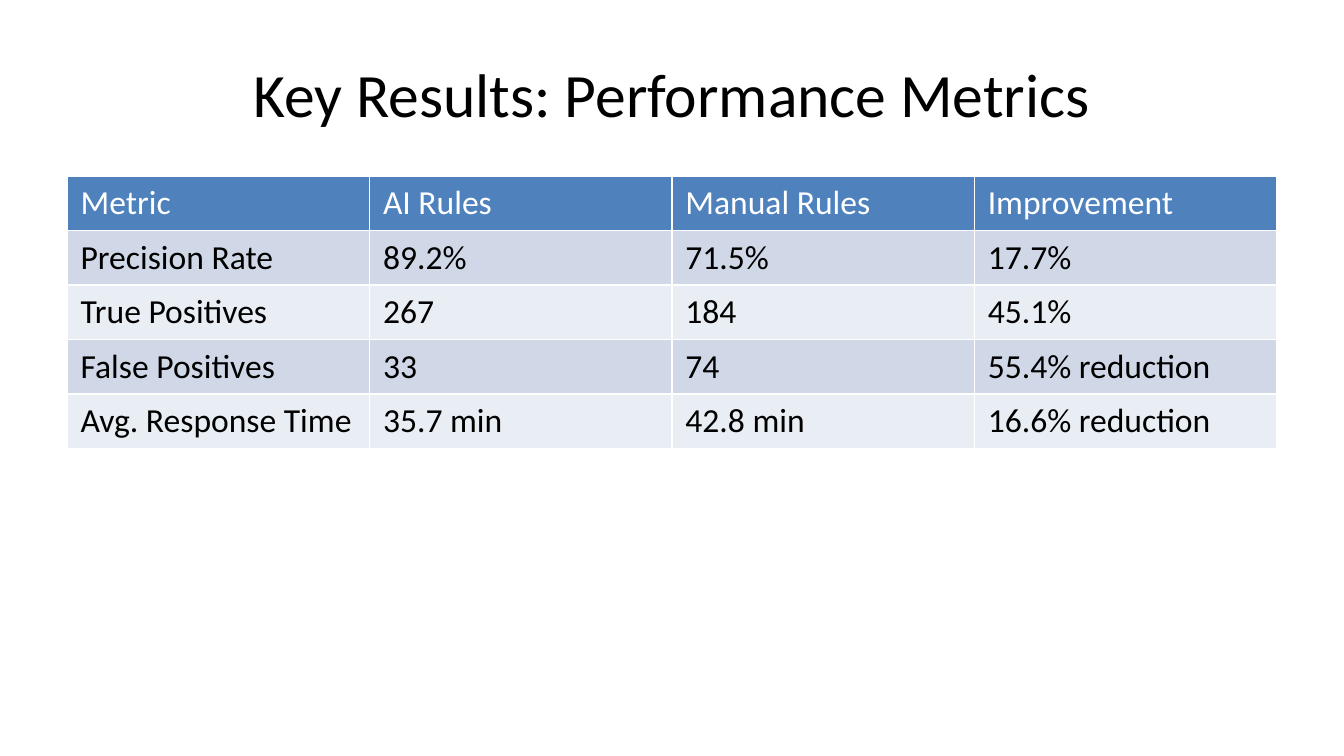
from dataclasses import dataclass

from pptx import Presentation
from pptx.dml.color import RGBColor
from pptx.enum.text import MSO_ANCHOR, MSO_AUTO_SIZE, PP_ALIGN
from pptx.util import Inches, Pt

CENTER, LEFT = PP_ALIGN.CENTER, PP_ALIGN.LEFT
MIDDLE, TOP = MSO_ANCHOR.MIDDLE, MSO_ANCHOR.TOP
FIXED = MSO_AUTO_SIZE.NONE
WIDE = 10
HIGH = WIDE * 9 / 16
ROW = 0.4
FONT = "Calibri"
BLACK, WHITE = "000000", "FFFFFF"


@dataclass(frozen=True)
class Band:
    """Colours of one table row."""
    fill: str
    ink: str


HEAD = Band("4F81BD", WHITE)
BODY = (Band("D0D8E8", BLACK), Band("E9EDF4", BLACK))
METRICS = (
    ("Metric", "AI Rules", "Manual Rules", "Improvement"),
    ("Precision Rate", "89.2%", "71.5%", "17.7%"),
    ("True Positives", "267", "184", "45.1%"),
    ("False Positives", "33", "74", "55.4% reduction"),
    ("Avg. Response Time", "35.7 min", "42.8 min", "16.6% reduction"),
)


def tint(code: str) -> RGBColor:
    """Turn a hex string into a colour."""
    return RGBColor.from_string(code)


def write(frame, text: str, size: float, ink: str, align) -> None:
    """Add one formatted run to the first paragraph."""
    para = frame.paragraphs[0]
    para.alignment = align
    run = para.add_run()
    run.text = text
    run.font.name = FONT
    run.font.size = Pt(size)
    run.font.bold = False
    run.font.color.rgb = tint(ink)


def draw_title(slide, text: str) -> None:
    """Place and fill the title placeholder."""
    title = slide.shapes.title
    title.left, title.top = Inches(0.05 * WIDE), Inches(0.04 * HIGH)
    title.width, title.height = Inches(0.9 * WIDE), Inches(HIGH / 6)
    frame = title.text_frame
    frame.auto_size = FIXED
    frame.word_wrap = True
    frame.vertical_anchor = MIDDLE
    write(frame, text, 33, BLACK, CENTER)


def draw_table(slide, rows: tuple[tuple[str, ...], ...]) -> None:
    """Draw a header row and alternating body rows."""
    table = slide.shapes.add_table(
        len(rows), len(rows[0]), Inches(0.05 * WIDE), Inches(1.31),
        Inches(0.9 * WIDE), Inches(ROW * len(rows))).table
    for r, words in enumerate(rows):
        band = BODY[(r - 1) % len(BODY)] if r else HEAD
        for c, word in enumerate(words):
            cell = table.cell(r, c)
            cell.fill.solid()
            cell.fill.fore_color.rgb = tint(band.fill)
            cell.vertical_anchor = TOP
            write(cell.text_frame, word, 18, band.ink, LEFT)


def main() -> None:
    """Build and save the slide."""
    deck = Presentation()
    deck.slide_width, deck.slide_height = Inches(WIDE), Inches(HIGH)
    slide = deck.slides.add_slide(deck.slide_layouts[5])
    draw_title(slide, "Key Results: Performance Metrics")
    draw_table(slide, METRICS)
    deck.save("out.pptx")


if __name__ == "__main__":
    main()
